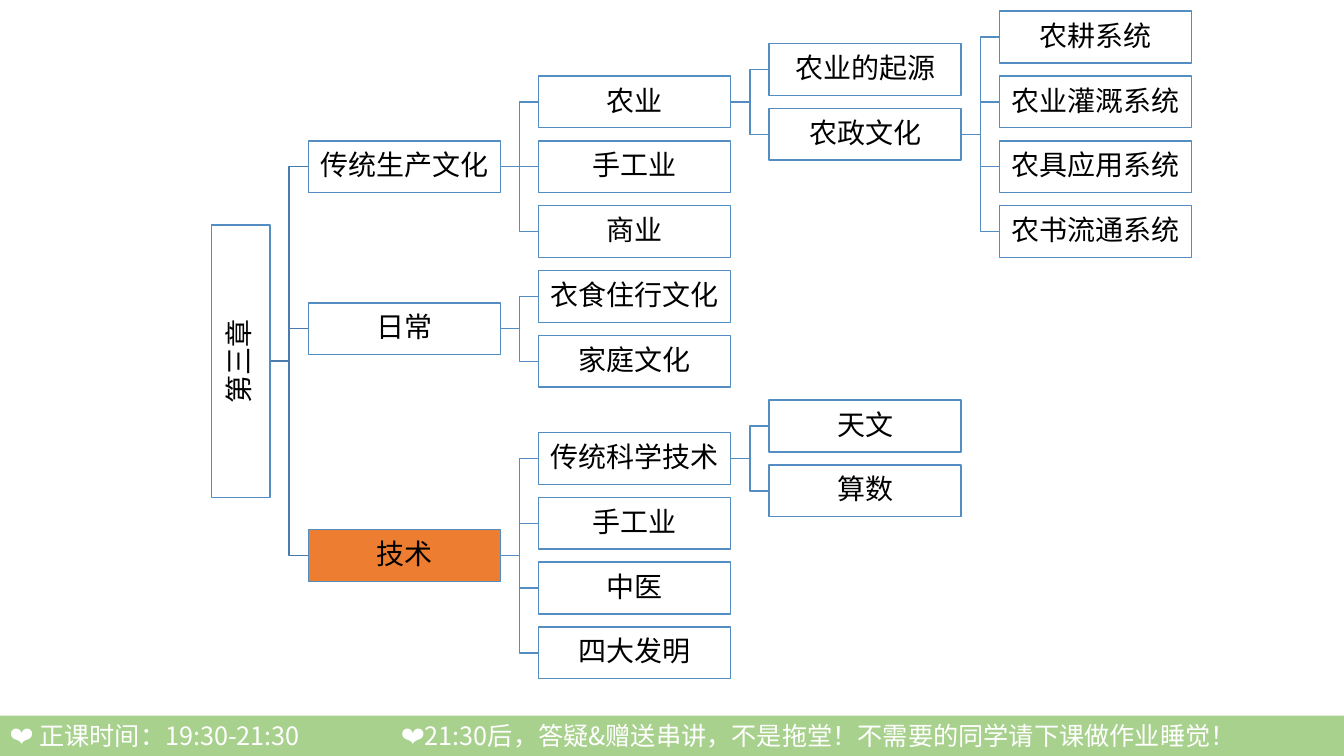
from lxml.etree import SubElement
from pptx import Presentation
from pptx.dml.color import RGBColor
from pptx.enum.shapes import MSO_CONNECTOR, MSO_SHAPE
from pptx.enum.text import MSO_ANCHOR, PP_ALIGN
from pptx.oxml.ns import qn
from pptx.util import Pt

COLORS = {
    "footer": "A9D18E", "white": "FFFFFF", "black": "000000",
    "highlight": "ED7D31", "line": "538DC1", "root_line": "497CAB",
}
SLIDE_W, SLIDE_H = 960, 540
FOOTER_H = 28.8
NODE_W, NODE_H = 137.2, 37
ROW_STEP = 46.3
COL_GAP = 27.4
ROOT_W, ROOT_H = 41.8, 194.6
HIGHLIGHTED = "技术"

TREE = ("第三章", [
    ("传统生产文化", [
        ("农业", [
            ("农业的起源", 0.5),
            ("农政文化", [
                ("农耕系统", 0),
                ("农业灌溉系统", 1),
                ("农具应用系统", 2),
                ("农书流通系统", 3),
            ]),
        ]),
        ("手工业", 2),
        ("商业", 3),
    ]),
    ("日常", [("衣食住行文化", 4), ("家庭文化", 5)]),
    (HIGHLIGHTED, [
        ("传统科学技术", [("天文", 6), ("算数", 7)]),
        ("手工业", 7.5),
        ("中医", 8.5),
        ("四大发明", 9.5),
    ]),
])


def rgb(name):
    return RGBColor.from_string(COLORS[name])


def add_box(s, x, y, w, h, fill, line=None):
    sp = s.shapes.add_shape(MSO_SHAPE.RECTANGLE, Pt(x), Pt(y), Pt(w), Pt(h))
    sp.shadow.inherit = False
    sp.fill.solid()
    sp.fill.fore_color.rgb = rgb(fill)
    if line:
        sp.line.color.rgb = rgb(line)
        sp.line.width = Pt(1)
    else:
        sp.line.fill.background()
    return sp


def add_run(p, text, size, font, color):
    r = p.add_run()
    r.text = text
    r.font.size = Pt(size)
    r.font.name = font
    r.font.color.rgb = rgb(color)
    SubElement(r.font._element, qn("a:ea"), typeface=font)


def add_label(sp, text):
    tf = sp.text_frame
    tf.word_wrap = True
    tf.vertical_anchor = MSO_ANCHOR.MIDDLE
    tf.margin_left = tf.margin_right = tf.margin_top = tf.margin_bottom = Pt(1)
    p = tf.paragraphs[0]
    p.alignment = PP_ALIGN.CENTER
    p.line_spacing = 0.9
    p.space_after = Pt(7)
    add_run(p, text, 20, "Noto Sans CJK SC", "black")


def add_link(s, x, y1, y2, color):
    kind = MSO_CONNECTOR.STRAIGHT if y1 == y2 else MSO_CONNECTOR.ELBOW
    c = s.shapes.add_connector(kind, Pt(x), Pt(y1), Pt(x + COL_GAP), Pt(y2))
    c.line.color.rgb = rgb(color)
    c.line.width = Pt(1)
    SubElement(c._element.spPr, qn("a:effectLst"))


def row_of(node):
    branch = node[1]
    if isinstance(branch, list):
        return (row_of(branch[0]) + row_of(branch[-1])) / 2
    return branch


def draw_tree(s, node, x, top, is_root=False):
    text, branch = node
    center = top + NODE_H / 2 + row_of(node) * ROW_STEP
    width = ROOT_W if is_root else NODE_W
    right = x + width
    for child in branch if isinstance(branch, list) else []:
        child_center = top + NODE_H / 2 + row_of(child) * ROW_STEP
        add_link(s, right, center, child_center, "root_line" if is_root else "line")
        draw_tree(s, child, right + COL_GAP, top)
    w, h = (ROOT_H, ROOT_W) if is_root else (NODE_W, NODE_H)
    fill = "highlight" if text == HIGHLIGHTED else "white"
    sp = add_box(s, x + (width - w) / 2, center - h / 2, w, h, fill, "line")
    if is_root:
        sp.rotation = 270
    add_label(sp, text)


def draw_footer(s, x, y, w, h):
    tf = add_box(s, x, y, w, h, "footer").text_frame
    tf.word_wrap = True
    tf.vertical_anchor = MSO_ANCHOR.MIDDLE
    tf.margin_top = tf.margin_bottom = Pt(0)
    p = tf.paragraphs[0]
    p.alignment = PP_ALIGN.LEFT
    tabs = SubElement(p._p.get_or_add_pPr(), qn("a:tabLst"))
    SubElement(tabs, qn("a:tab"), pos=str(Pt(279.5)), algn="l")
    for text in ("❤ 正课时间：19:30-21:30\t",
                 "❤21:30后，答疑&赠送串讲，不是拖堂！不需要的同学请下课做作业睡觉！"):
        add_run(p, text, 18, "Noto Sans CJK JP", "white")


def main():
    prs = Presentation()
    prs.slide_width, prs.slide_height = Pt(SLIDE_W), Pt(SLIDE_H)
    s = prs.slides.add_slide(prs.slide_layouts[6])
    draw_footer(s, 0, SLIDE_H - FOOTER_H, SLIDE_W, FOOTER_H)
    draw_tree(s, TREE, 151, 8, is_root=True)
    prs.save("out.pptx")


if __name__ == "__main__":
    main()
